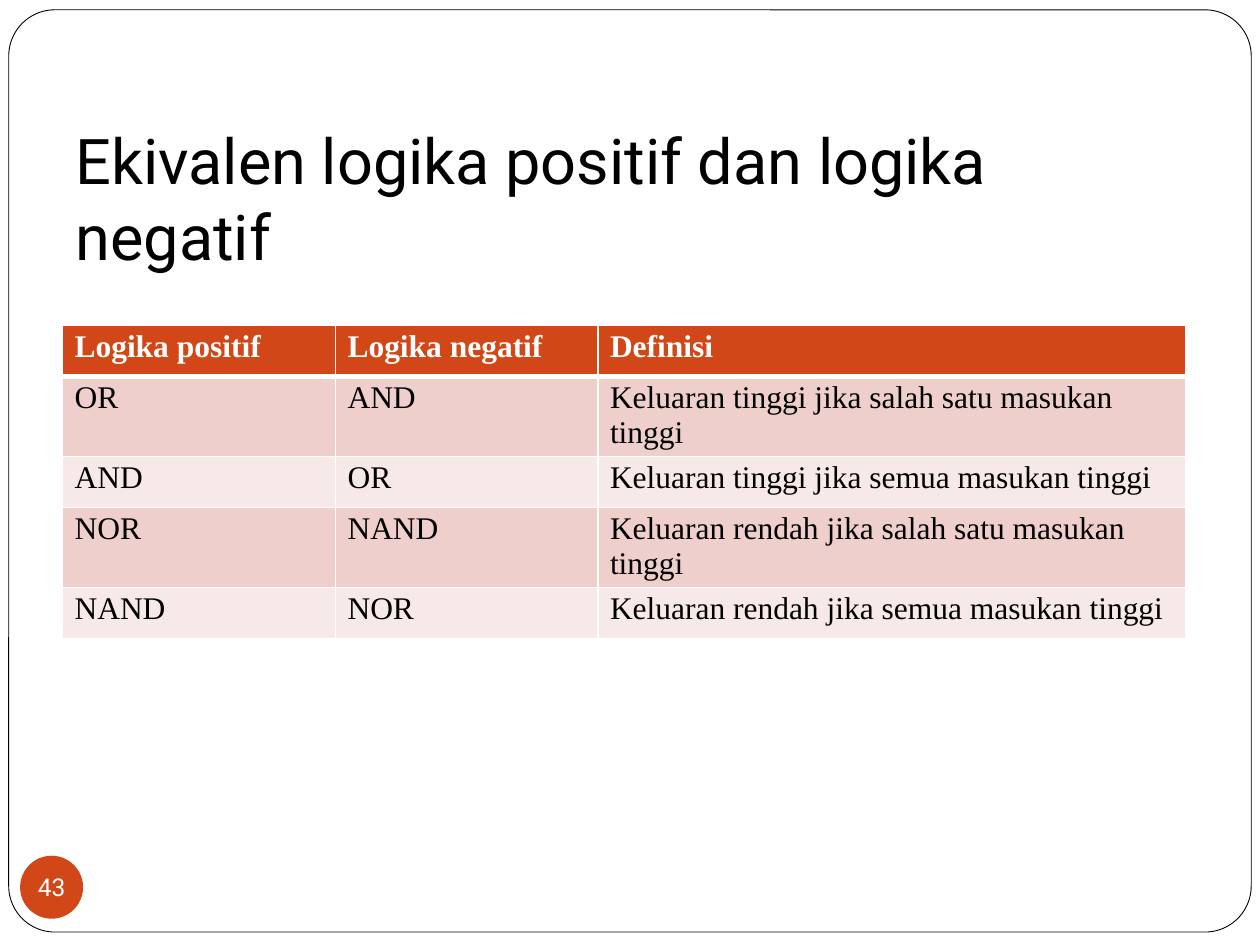
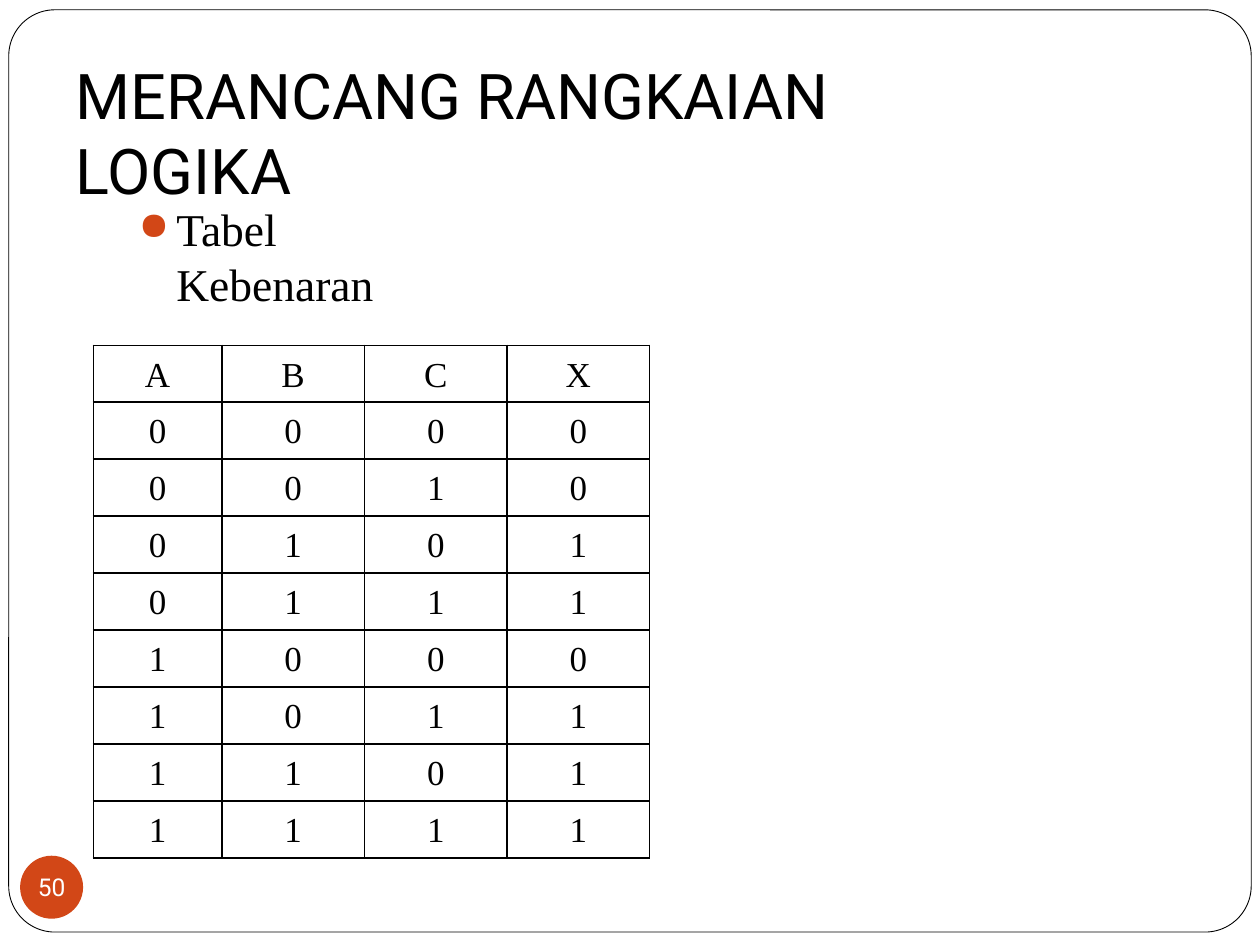
from lxml import etree
from pptx import Presentation
from pptx.dml.color import RGBColor
from pptx.enum.shapes import MSO_SHAPE
from pptx.enum.text import MSO_ANCHOR, PP_ALIGN
from pptx.oxml.ns import qn
from pptx.util import Pt

ROUND = MSO_SHAPE.ROUNDED_RECTANGLE
OVAL = MSO_SHAPE.OVAL
LEFT, CENTER = PP_ALIGN.LEFT, PP_ALIGN.CENTER
MIDDLE = MSO_ANCHOR.MIDDLE

COLORS = {
    "ink": "000000",
    "paper": "FFFFFF",
    "accent": "D24717",
    "dark": "EECFCC",
    "light": "F7E9E7",
}
SANS, SERIF = "Roboto", "Times New Roman"


def rgb(name):
    return RGBColor.from_string(COLORS[name])


def add_node(parent, tag, **attrs):
    node = etree.SubElement(parent, qn(tag))
    for key, value in attrs.items():
        node.set(key, str(value))
    return node


class Deck:
    def __init__(self):
        self.prs = Presentation()
        self.prs.slide_width, self.prs.slide_height = Pt(720), Pt(540)
        self.slide = None

    def start(self, title, top, width, number):
        """Add a slide with frame, title and page number."""
        self.slide = self.prs.slides.add_slide(self.prs.slide_layouts[6])
        frame = self.shape(ROUND, 5, 5.6, 710, 527)
        frame.adjustments[0] = 0.05
        frame.fill.background()
        frame.line.color.rgb = rgb("ink")
        frame.line.width = Pt(0.5)
        self.text(title, 42.5, top, width, 45, 36, SANS, inset=2, indent=0.7)
        self.badge(number)

    def shape(self, kind, *place):
        shape = self.slide.shapes.add_shape(kind, *map(Pt, place))
        shape.shadow.inherit = False
        return shape

    def fit(self, frame, inset):
        frame.margin_left = frame.margin_right = frame.margin_bottom = 0
        frame.margin_top = Pt(inset)

    def style(self, para, size, font, color="ink", bold=False, align=LEFT):
        para.alignment = align
        para.font.size = Pt(size)
        para.font.name = font
        para.font.bold = bold
        para.font.color.rgb = rgb(color)

    def indent(self, para, left, first=0):
        props = para._p.get_or_add_pPr()
        props.set("marL", str(Pt(left)))
        props.set("indent", str(Pt(first)))
        return props

    def text(self, words, left, top, width, height, size, font,
             inset=0, indent=0, hang=0):
        box = self.slide.shapes.add_textbox(*map(Pt, (left, top, width, height)))
        frame = box.text_frame
        frame.word_wrap = True
        self.fit(frame, inset)
        para = frame.paragraphs[0]
        para.text = words
        props = self.indent(para, indent, -hang)
        if hang:
            tint = add_node(props, "a:buClr")
            add_node(tint, "a:srgbClr", val=COLORS["accent"])
            add_node(props, "a:buSzPct", val=85000)
            add_node(props, "a:buChar", char="●")
        self.style(para, size, font)

    def badge(self, number):
        dot = self.shape(OVAL, 11.5, 489, 36, 36)
        dot.fill.solid()
        dot.fill.fore_color.rgb = rgb("accent")
        dot.line.fill.background()
        frame = dot.text_frame
        frame.word_wrap = False
        frame.vertical_anchor = MIDDLE
        self.fit(frame, 0)
        para = frame.paragraphs[0]
        para.text = str(number)
        self.style(para, 14, SANS, "paper", align=CENTER)

    def border(self, cell, color, top=1, bottom=1):
        props = cell._tc.get_or_add_tcPr()
        for side, width in zip("LRTB", (1, 1, top, bottom)):
            line = add_node(props, f"a:ln{side}", w=Pt(width))
            fill = add_node(line, "a:solidFill")
            add_node(fill, "a:srgbClr", val=COLORS[color])

    def table(self, rows, left, top, cols, height, size, inset,
              banded=False, indent=0, align=LEFT):
        place = map(Pt, (left, top, sum(cols), height * len(rows)))
        table = self.slide.shapes.add_table(len(rows), len(cols), *place).table
        table.first_row = table.horz_banding = False
        for col, width in zip(table.columns, cols):
            col.width = Pt(width)
        for i, row in enumerate(rows):
            table.rows[i].height = Pt(height)
            head = banded and i == 0
            for j, words in enumerate(row):
                cell = table.cell(i, j)
                self.fit(cell, inset)
                if banded:
                    self.border(cell, "paper", 3 if i == 1 else 1, 3 if head else 1)
                    cell.fill.solid()
                    band = "dark" if i % 2 else "light"
                    cell.fill.fore_color.rgb = rgb("accent" if head else band)
                else:
                    self.border(cell, "ink")
                    cell.fill.background()
                para = cell.text_frame.paragraphs[0]
                para.text = words
                self.indent(para, indent)
                self.style(para, size, SERIF, "paper" if head else "ink", head, align)


def main():
    deck = Deck()

    # Logic equivalents
    deck.start("Ekivalen logika positif dan logika negatif", 67.7, 610, 43)
    gates = [
        ("Logika positif", "Logika negatif", "Definisi"),
        ("OR", "AND", "Keluaran tinggi jika salah satu masukan tinggi"),
        ("AND", "OR", "Keluaran tinggi jika semua masukan tinggi"),
        ("NOR", "NAND", "Keluaran rendah jika salah satu masukan tinggi"),
        ("NAND", "NOR", "Keluaran rendah jika semua masukan tinggi"),
    ]
    deck.table(gates, 35.6, 185.8, (156, 150, 336), 29.2, 18, 2.5,
               banded=True, indent=7)

    # Truth table: X = B or (A and C)
    deck.start("MERANCANG RANGKAIAN LOGIKA", 30.2, 516, 50)
    deck.text("Tabel Kebenaran", 78.5, 113, 179, 33, 26, SERIF,
              inset=2, indent=22.3, hang=21.6)
    truth = [tuple("ABCX")]
    for n in range(8):
        a, b, c = n >> 2, n >> 1 & 1, n & 1
        truth.append(tuple(map(str, (a, b, c, b | a & c))))
    deck.table(truth, 53.3, 197.3, (73.5, 81.5, 81.5, 81.5), 32.55, 20, 6,
               align=CENTER)

    deck.prs.save("out.pptx")


if __name__ == "__main__":
    main()
